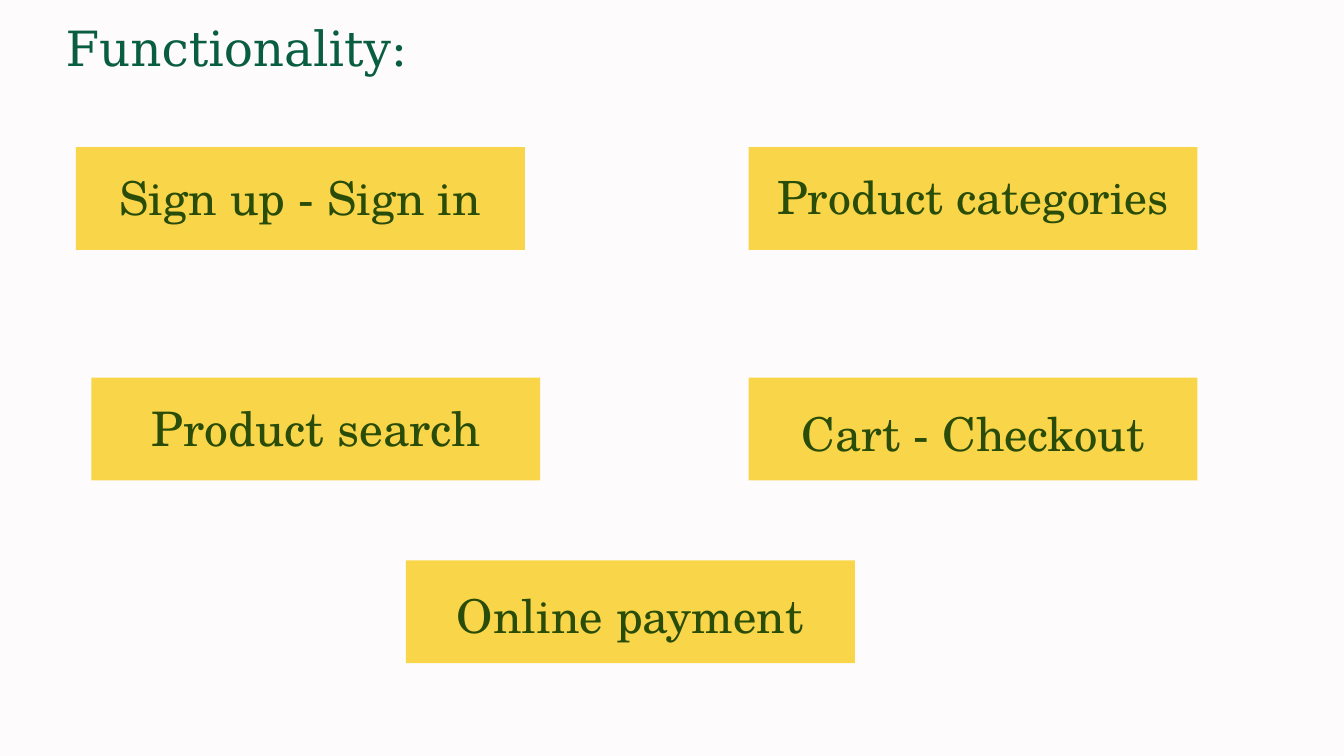
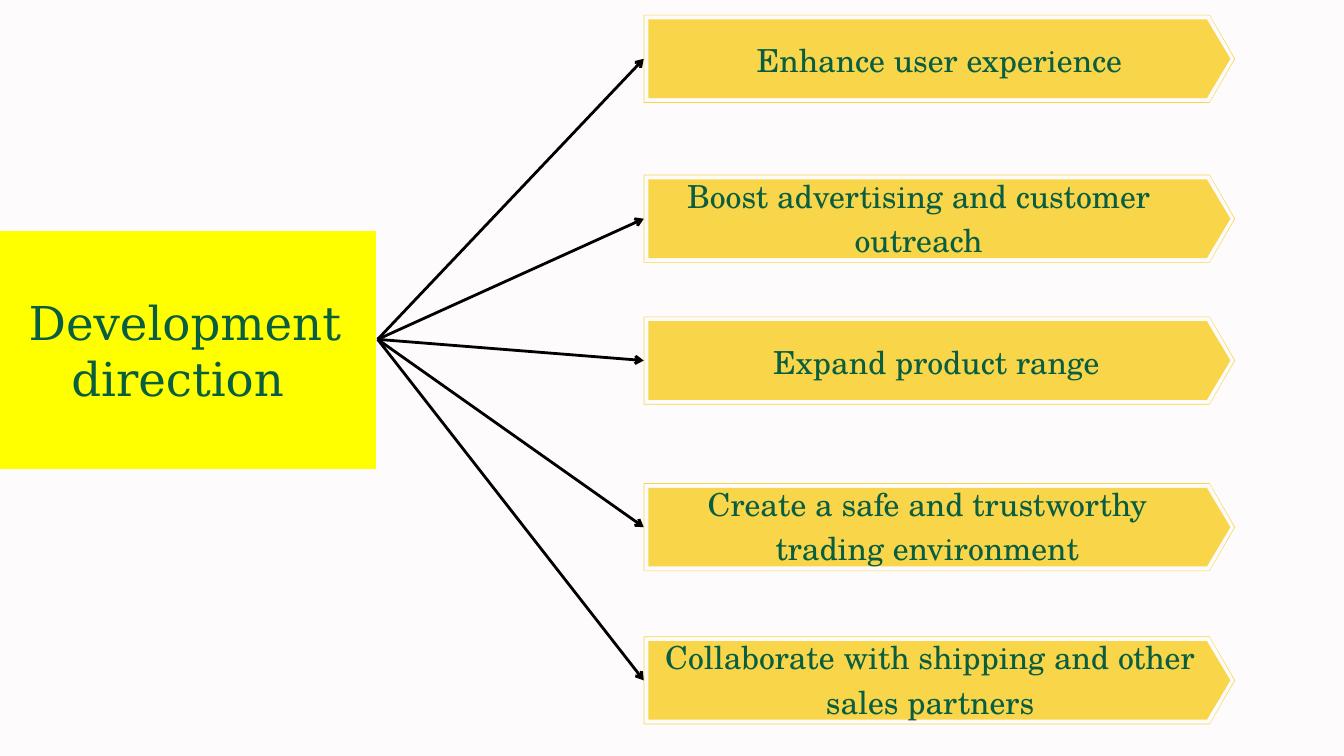
from dataclasses import dataclass

from lxml import etree
from pptx import Presentation, util as u
from pptx.dml.color import RGBColor
from pptx.enum import shapes, text
from pptx.oxml import ns

# Slide grid: every length below is counted in columns and rows
COLUMNS, ROWS = 20, 11.25
SLIDE_WIDTH, SLIDE_HEIGHT = u.Inches(20), u.Inches(11.25)
TITLE_ONLY = 5


@dataclass(frozen=True)
class Theme:
    background: str = "FDFBFB"
    panel: str = "F9D549"
    hub: str = "FFFF00"
    green: str = "095D40"
    olive: str = "2A4C09"
    arrow: str = "000000"
    title_font: str = "DejaVu Serif"
    body_font: str = "TeX Gyre Schola"
    title_size: int = 52
    hub_size: int = 50
    direction_size: int = 34
    arrow_width: int = 3
    leading: float = 1.4


THEME = Theme()


@dataclass(frozen=True)
class Box:
    left: float
    top: float
    width: float
    height: float

    def inside(self, left, top, width, height):
        return Box(self.left + left, self.top + top, width, height)

    def emu(self):
        return (across(self.left), down(self.top),
                across(self.width), down(self.height))


def across(columns):
    return round(SLIDE_WIDTH * columns / COLUMNS)


def down(rows):
    return round(SLIDE_HEIGHT * rows / ROWS)


# Shared parts
def paint(shape, colour):
    shape.shadow.inherit = False
    shape.fill.solid()
    shape.fill.fore_color.rgb = RGBColor.from_string(colour)
    shape.line.fill.background()


def write(shape, words, font, size, colour, inset_top=0, leading=THEME.leading,
          anchor=text.MSO_ANCHOR.TOP):
    frame = shape.text_frame
    frame.text = words
    frame.word_wrap = True
    frame.auto_size = text.MSO_AUTO_SIZE.NONE
    frame.vertical_anchor = anchor
    frame.margin_left = frame.margin_right = frame.margin_bottom = 0
    frame.margin_top = down(inset_top)
    paragraph = frame.paragraphs[0]
    paragraph.alignment = text.PP_ALIGN.CENTER
    paragraph.line_spacing = u.Pt(size * leading) if leading else 1.0
    for run in paragraph.runs:
        run.font.name = font
        run.font.size = u.Pt(size)
        run.font.color.rgb = RGBColor.from_string(colour)


def add_titled_slide(presentation, box, words, size, **style):
    slide = presentation.slides.add_slide(
        presentation.slide_layouts[TITLE_ONLY])
    title = slide.shapes.title
    title.left, title.top, title.width, title.height = box.emu()
    write(title, words, THEME.title_font, size, THEME.green, **style)
    return slide


# Functionality slide
CARD_WIDTH, CARD_HEIGHT = 6.68, 1.53
CARDS = [  # left, top, words, size, space above the words
    (1.13, 2.19, "Sign up - Sign in", 50, 0.18),
    (11.14, 2.19, "Product categories", 49, 0.18),
    (1.36, 5.62, "Product search", 51, 0.17),
    (11.14, 5.62, "Cart - Checkout", 50, 0.26),
    (6.04, 8.34, "Online payment", 50, 0.25),
]


def add_card(slide, box, words, size, inset_top):
    card = slide.shapes.add_shape(shapes.MSO_SHAPE.RECTANGLE, *box.emu())
    paint(card, THEME.panel)
    write(card, words, THEME.body_font, size, THEME.olive, inset_top)


def add_functionality_slide(presentation):
    slide = add_titled_slide(presentation, Box(0.48, 0.13, 6.31, 0.99),
                             "Functionality: ", THEME.title_size)
    for left, top, words, size, inset_top in CARDS:
        add_card(slide, Box(left, top, CARD_WIDTH, CARD_HEIGHT),
                 words, size, inset_top)


# Development direction slide
BANNER_LEFT, BANNER_WIDTH, BANNER_HEIGHT = 9.58, 8.8, 1.31
BANNER_POINT = 0.38
HUB = Box(-0.07, 3.44, 5.65, 3.53)
ARROW_START = (5.62, 5.05)
DIRECTIONS = [  # banner top, words, then their left, top, width in the banner
    (0.22, "Enhance user experience", 1.22, 0.29, 6.36),
    (2.6, "Boost advertising and customer outreach", 0, -0.07, 8.18),
    (4.71, "Expand product range ", 0.02, 0.3, 8.8),
    (7.19, "Create a safe and trustworthy trading environment",
     0.09, -0.07, 8.26),
    (9.47, "Collaborate with shipping and other sales partners",
     0.17, -0.07, 8.18),
]


def pentagon(box, inset, point):
    """Corners of a right-pointing banner, drawn inset from the box."""
    left, top = box.left + inset, box.top + inset
    right = box.left + box.width - inset
    bottom = box.top + box.height - inset
    corners = [(left, top), (right - point, top),
               (right, (top + bottom) / 2), (right - point, bottom),
               (left, bottom)]
    return [(across(x), down(y)) for x, y in corners]


def add_banner(slide, box):
    # Thin outer frame, then the filled core, as contours of one outline
    outer, hole, core = (pentagon(box, inset, point) for inset, point in
                         ((0, BANNER_POINT), (0.01, 0.37), (0.07, 0.35)))
    builder = slide.shapes.build_freeform(*outer[0])
    builder.add_line_segments(outer[1:])
    for contour in (hole, core):
        builder.move_to(*contour[0])
        builder.add_line_segments(contour[1:])
    paint(builder.convert_to_shape(), THEME.panel)


def add_arrow(slide, start, end):
    arrow = slide.shapes.add_connector(
        shapes.MSO_CONNECTOR.STRAIGHT, across(start[0]), down(start[1]),
        across(end[0]), down(end[1]))
    arrow.line.color.rgb = RGBColor.from_string(THEME.arrow)
    arrow.line.width = u.Pt(THEME.arrow_width)
    etree.SubElement(arrow.line._get_or_add_ln(), ns.qn("a:tailEnd"),
                     type="arrow")
    etree.SubElement(arrow._element.spPr, ns.qn("a:effectLst"))


def add_direction(slide, box, words, left, top, width):
    add_banner(slide, box)
    add_arrow(slide, ARROW_START, (box.left, box.top + box.height / 2))
    label = slide.shapes.add_textbox(
        *box.inside(left, top, width, box.height).emu())
    write(label, words, THEME.body_font, THEME.direction_size, THEME.green)


def add_development_slide(presentation):
    slide = add_titled_slide(presentation, HUB, "Development direction ",
                             THEME.hub_size, leading=None,
                             anchor=text.MSO_ANCHOR.MIDDLE)
    hub = slide.shapes.title
    hub.fill.solid()
    hub.fill.fore_color.rgb = RGBColor.from_string(THEME.hub)
    hub.line.color.rgb = RGBColor.from_string(THEME.hub)
    hub.line.width = u.Pt(0.75)
    for top, *label in DIRECTIONS:
        add_direction(slide, Box(BANNER_LEFT, top, BANNER_WIDTH,
                                 BANNER_HEIGHT), *label)


def main():
    presentation = Presentation()
    presentation.slide_width = SLIDE_WIDTH
    presentation.slide_height = SLIDE_HEIGHT
    background = presentation.slide_master.background.fill
    background.solid()
    background.fore_color.rgb = RGBColor.from_string(THEME.background)
    add_functionality_slide(presentation)
    add_development_slide(presentation)
    presentation.save("out.pptx")


if __name__ == "__main__":
    main()
